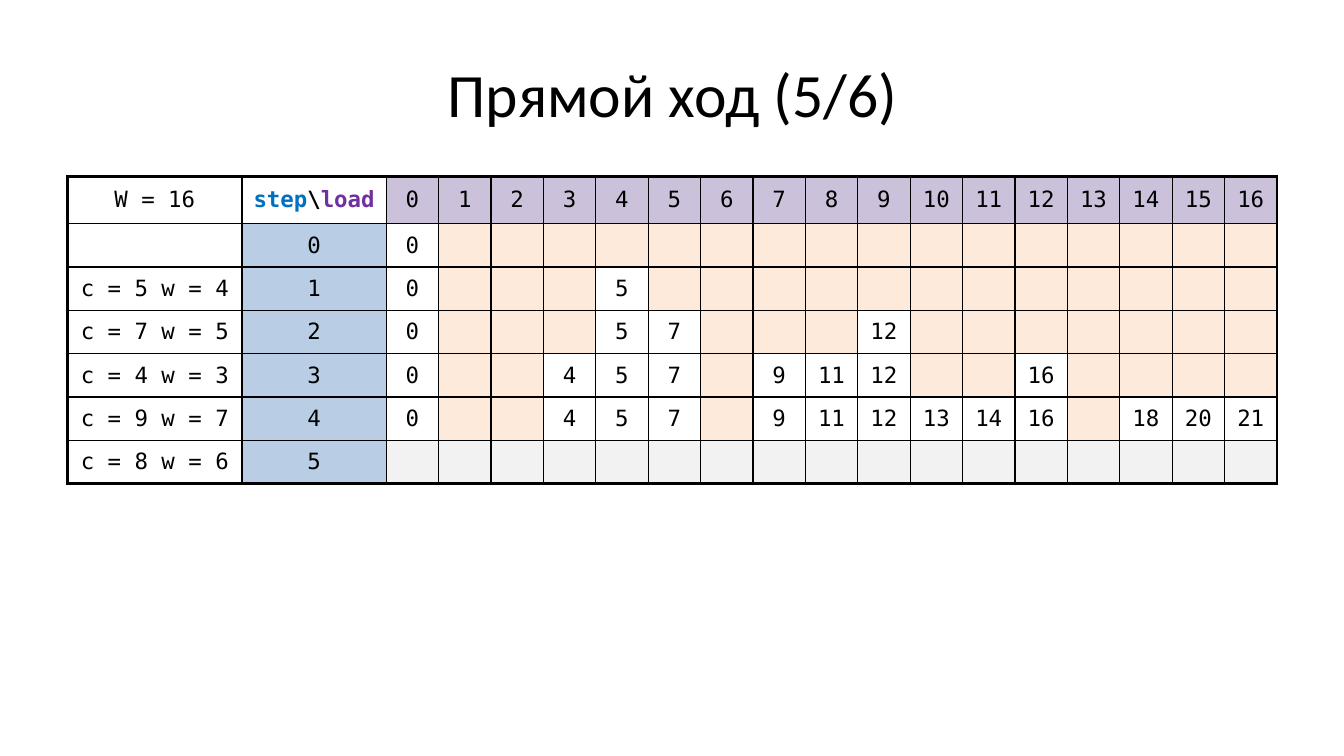
from lxml.etree import SubElement
from pptx import Presentation
from pptx.dml.color import RGBColor
from pptx.enum.text import MSO_ANCHOR, PP_ALIGN
from pptx.oxml.ns import qn
from pptx.util import Inches, Pt


def color(value):
    return RGBColor.from_string(value)


def add_border(cell, side, width):
    line = SubElement(cell._tc.get_or_add_tcPr(), qn(f"a:ln{side}"), w=str(Pt(width)))
    fill = SubElement(line, qn("a:solidFill"))
    SubElement(fill, qn("a:srgbClr"), val="000000")


LOADS = range(17)
ITEMS = ["", "c = 5 w = 4", "c = 7 w = 5", "c = 4 w = 3", "c = 9 w = 7", "c = 8 w = 6"]
COSTS = [
    {0: 0},
    {0: 0, 4: 5},
    {0: 0, 4: 5, 5: 7, 9: 12},
    {0: 0, 3: 4, 4: 5, 5: 7, 7: 9, 8: 11, 9: 12, 12: 16},
    {0: 0, 3: 4, 4: 5, 5: 7, 7: 9, 8: 11, 9: 12, 10: 13, 11: 14, 12: 16, 14: 18, 15: 20, 16: 21},
    {},
]
HEADING = [("step", "0070C0"), ("\\", "000000"), ("load", "7030A0")]

rows = [["W = 16", ""] + [str(load) for load in LOADS]]
for step, (item, costs) in enumerate(zip(ITEMS, COSTS)):
    rows.append([item, str(step)] + [str(costs.get(load, "")) for load in LOADS])
last_row = len(rows) - 1
last_column = len(rows[0]) - 1

deck = Presentation()
deck.slide_width = Inches(13.33)
deck.slide_height = Inches(7.5)
page = deck.slides.add_slide(deck.slide_layouts[5])

title = page.shapes.title
title.left, title.top = Inches(0.67), Inches(0.3)
title.width, title.height = Inches(12), Inches(1.25)
title.text_frame.text = "Прямой ход (5/6)"
title.text_frame.vertical_anchor = MSO_ANCHOR.MIDDLE
para = title.text_frame.paragraphs[0]
para.alignment = PP_ALIGN.CENTER
para.font.size = Pt(44)
para.font.name = "Calibri"
para.font.color.rgb = color("000000")

table = page.shapes.add_table(
    len(rows), len(rows[0]), Inches(0.67), Inches(1.75), Inches(12), Inches(3.07)
).table
table.first_row = False
table.horz_banding = False
for index, column in enumerate(table.columns):
    column.width = Inches({0: 1.73, 1: 1.43}.get(index, 0.52))
for index, row in enumerate(table.rows):
    row.height = Inches(0.47 if index == 0 else 0.43)

for row_index, texts in enumerate(rows):
    for column_index, text in enumerate(texts):
        cell = table.cell(row_index, column_index)
        cell.vertical_anchor = MSO_ANCHOR.MIDDLE
        cell.margin_left = cell.margin_right = Inches(0.1)
        add_border(cell, "L", 2.25 if column_index == 0 else 1)
        add_border(cell, "R", 2.25 if column_index == last_column else 1)
        add_border(cell, "T", 2.25 if row_index == 0 else 1)
        add_border(cell, "B", 2.25 if row_index == last_row else 1)

        if column_index == 0 or (row_index == 0 and column_index == 1):
            shade = None
        elif row_index == 0:
            shade = "CCC1DA"
        elif column_index == 1:
            shade = "B9CDE5"
        elif row_index == last_row:
            shade = "F2F2F2"
        else:
            shade = None if text else "FDEADA"
        if shade:
            cell.fill.solid()
            cell.fill.fore_color.rgb = color(shade)
        else:
            cell.fill.background()

        cell.text = text
        para = cell.text_frame.paragraphs[0]
        para.alignment = PP_ALIGN.CENTER
        para.font.size = Pt(16)
        para.font.name = "DejaVu Sans Mono"
        para.font.color.rgb = color("000000")

heading = table.cell(0, 1).text_frame.paragraphs[0]
for text, shade in HEADING:
    span = heading.add_run()
    span.text = text
    span.font.size = Pt(16)
    span.font.name = "DejaVu Sans Mono"
    span.font.bold = True
    span.font.color.rgb = color(shade)

deck.save("out.pptx")
